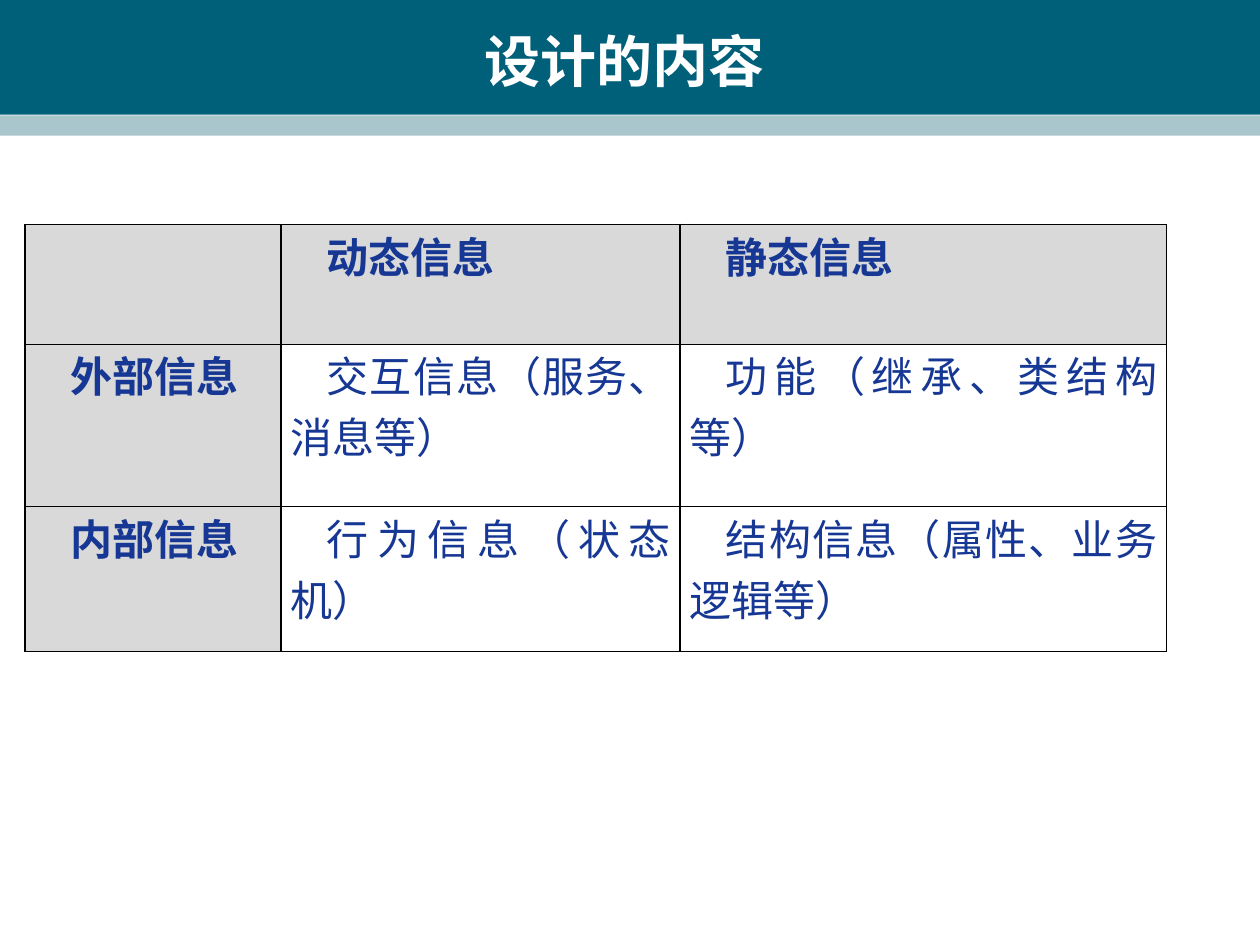
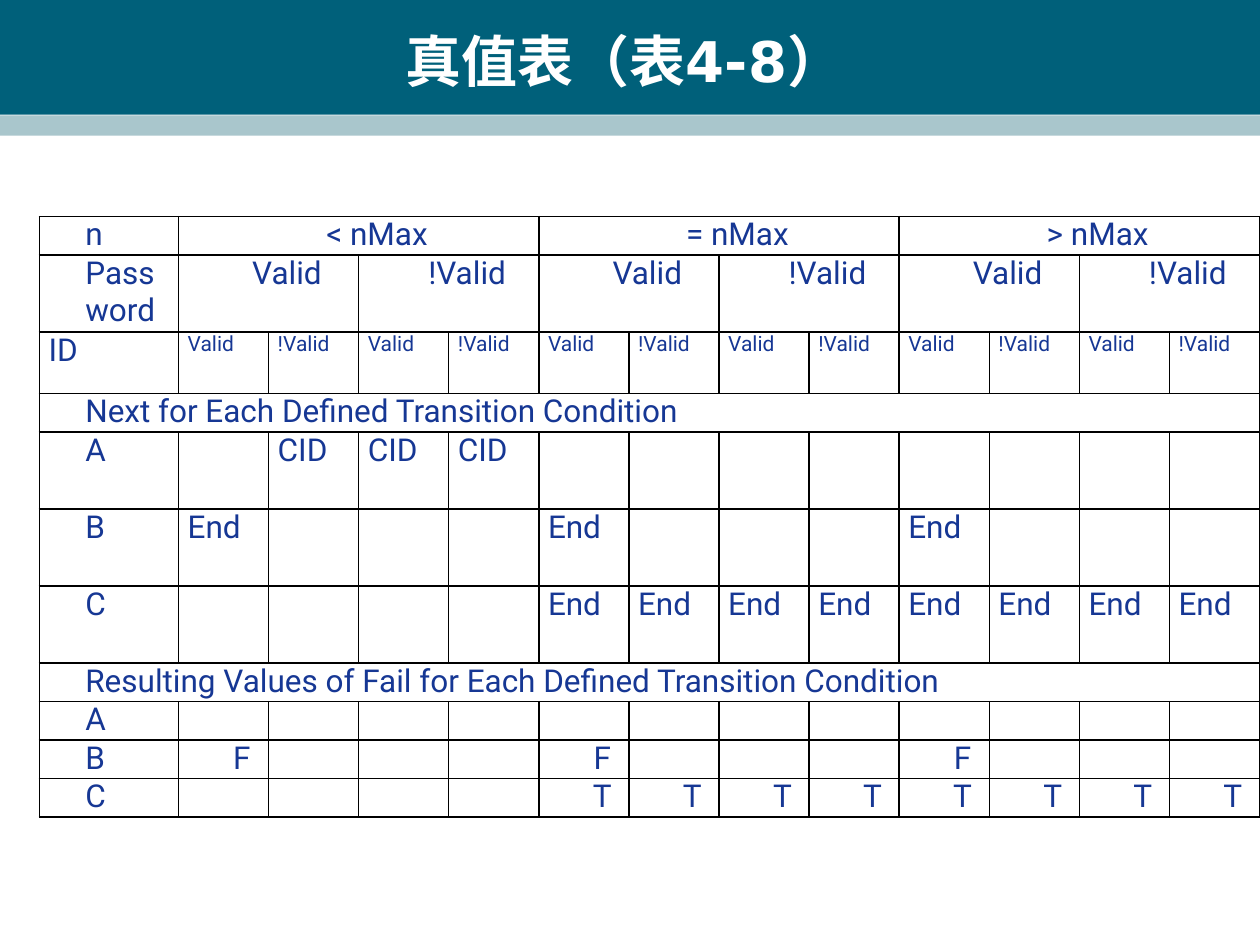
from dataclasses import dataclass

from lxml import etree
from pptx import Presentation
from pptx import util as u
from pptx.dml.color import RGBColor
from pptx.enum import lang, shapes, text
from pptx.oxml import ns

TEAL = RGBColor(0x00, 0x60, 0x7A)
MIST = RGBColor(0xA9, 0xC6, 0xCC)
WHITE = RGBColor(0xFF, 0xFF, 0xFF)
GREY = RGBColor(0xD9, 0xD9, 0xD9)
NAVY = RGBColor(0x16, 0x37, 0x94)
BLACK = RGBColor(0x00, 0x00, 0x00)

LEFT = text.PP_ALIGN.LEFT
CENTER = text.PP_ALIGN.CENTER
JUSTIFY = text.PP_ALIGN.JUSTIFY
INDENT = 21


@dataclass(frozen=True)
class Band:
    top: float
    height: float
    color: RGBColor


@dataclass(frozen=True)
class Cell:
    content: str = ""
    align: text.PP_ALIGN = LEFT
    indent: float = INDENT
    size: float = 18
    bold: bool = False
    fill: RGBColor | None = WHITE
    span: int = 1


BANDS = [Band(0, 65.5, TEAL), Band(66, 11.5, MIST)]


def write(tf, content: str, *, font: str, size: float, color: RGBColor,
          bold: bool = False, align: text.PP_ALIGN = LEFT, indent: float = 0) -> None:
    for i, line in enumerate(content.split("\n")):
        p = tf.paragraphs[0] if i == 0 else tf.add_paragraph()
        p.alignment = align
        pPr = p._p.get_or_add_pPr()
        pPr.set("marL", "0")
        pPr.set("indent", str(u.Pt(indent)))
        r = p.add_run()
        r.text = line
        r.font.name = font
        r.font.size = u.Pt(size)
        r.font.bold = bold
        r.font.color.rgb = color
        r.font.language_id = lang.MSO_LANGUAGE_ID.SIMPLIFIED_CHINESE


def add_titled_slide(prs, title: str):
    s = prs.slides.add_slide(prs.slide_layouts[6])
    for band in BANDS:
        sp = s.shapes.add_shape(shapes.MSO_SHAPE.RECTANGLE, 0, u.Pt(band.top),
                                prs.slide_width, u.Pt(band.height))
        sp.shadow.inherit = False
        sp.fill.solid()
        sp.fill.fore_color.rgb = band.color
        sp.line.fill.background()
    tf = s.shapes.add_textbox(u.Pt(23.75), u.Pt(12.25), u.Pt(666), u.Pt(44.5)).text_frame
    tf.word_wrap = True
    tf.vertical_anchor = text.MSO_ANCHOR.MIDDLE
    write(tf, title, font="DejaVu Sans", size=32, color=WHITE, bold=True, align=CENTER)
    return s


def add_borders(cell) -> None:
    tcPr = cell._tc.get_or_add_tcPr()
    for i, side in enumerate(("lnL", "lnR", "lnT", "lnB")):
        ln = etree.Element(ns.qn(f"a:{side}"), w=str(u.Pt(1)))
        fill = etree.SubElement(ln, ns.qn("a:solidFill"))
        etree.SubElement(fill, ns.qn("a:srgbClr"), val=str(BLACK))
        tcPr.insert(i, ln)


def add_grid(s, left: float, top: float, widths: list[float], heights: list[float],
             rows: list[list[Cell]], font: str) -> None:
    table = s.shapes.add_table(len(heights), len(widths), u.Pt(left), u.Pt(top),
                               u.Pt(sum(widths)), u.Pt(sum(heights))).table
    table.first_row = table.horz_banding = False
    for column, width in zip(table.columns, widths):
        column.width = u.Pt(width)
    for row, height in zip(table.rows, heights):
        row.height = u.Pt(height)
    for r, cells in enumerate(rows):
        c = 0
        for item in cells:
            for k in range(c, c + item.span):
                cell = table.cell(r, k)
                cell.margin_left = cell.margin_right = u.Pt(5.25)
                cell.margin_top = cell.margin_bottom = 0
                if item.fill is None:
                    cell.fill.background()
                else:
                    cell.fill.solid()
                    cell.fill.fore_color.rgb = item.fill
                add_borders(cell)
            cell = table.cell(r, c)
            if item.span > 1:
                cell.merge(table.cell(r, c + item.span - 1))
            if item.content:
                write(cell.text_frame, item.content, font=font, size=item.size, color=NAVY,
                      bold=item.bold, align=item.align, indent=item.indent)
            c += item.span


def build_design_slide(prs) -> None:
    s = add_titled_slide(prs, "设计的内容")
    contents = [
        ["", "动态信息", "静态信息"],
        ["外部信息", "交互信息（服务、消息等）", "功能（继承、类结构等）"],
        ["内部信息", "行为信息（状态机）", "结构信息（属性、业务逻辑等）"],
    ]
    rows = []
    for r, line in enumerate(contents):
        heads = [r == 0 or c == 0 for c in range(len(line))]
        rows.append([Cell(t, JUSTIFY, size=24, bold=head, fill=GREY if head else None)
                     for t, head in zip(line, heads)])
    add_grid(s, 14.25, 128.25, [146.25, 228, 278], [68.5, 92.75, 82.75], rows, "Calibri")


def build_truth_slide(prs) -> None:
    s = add_titled_slide(prs, "真值表（表4-8）")
    short, medium, tall = 22, 35.2, 44

    def entries(label: str, values: list[str], align: text.PP_ALIGN, indent: float) -> list[Cell]:
        return [Cell(label)] + [Cell(v, align, indent) for v in values]

    def next_row(label: str, values: list[str]) -> list[Cell]:
        return entries(label, values, JUSTIFY, 0)

    def fail_row(label: str, values: list[str]) -> list[Cell]:
        return entries(label, values, CENTER, INDENT)

    validity = ["Valid", "!Valid"]
    rows = [
        [Cell("n")] + [Cell(f"{sign} nMax", CENTER, span=4) for sign in "<=>"],
        [Cell("Pass\nword")] + [Cell(v, CENTER, span=2) for v in validity * 3],
        [Cell("ID", JUSTIFY, 0)] + [Cell(v, JUSTIFY, 0, 12) for v in validity * 6],
        [Cell("Next for Each Defined Transition Condition", span=13)],
        next_row("A", [""] + ["CID"] * 3 + [""] * 8),
        next_row("B", ["End", "", "", ""] * 3),
        next_row("C", [""] * 4 + ["End"] * 8),
        [Cell("Resulting Values of Fail for Each Defined Transition Condition", span=13)],
        fail_row("A", [""] * 12),
        fail_row("B", ["F", "", "", ""] * 3),
        fail_row("C", [""] * 4 + ["T"] * 8),
    ]
    heights = [short, tall, medium, short] + [tall] * 3 + [short] * 4
    add_grid(s, 22.5, 123.75, [79.5] + [51.5] * 12, heights, rows, "Roboto")


def main() -> None:
    prs = Presentation()
    prs.slide_width, prs.slide_height = u.Pt(720), u.Pt(540)
    build_design_slide(prs)
    build_truth_slide(prs)
    prs.save("out.pptx")


if __name__ == "__main__":
    main()
